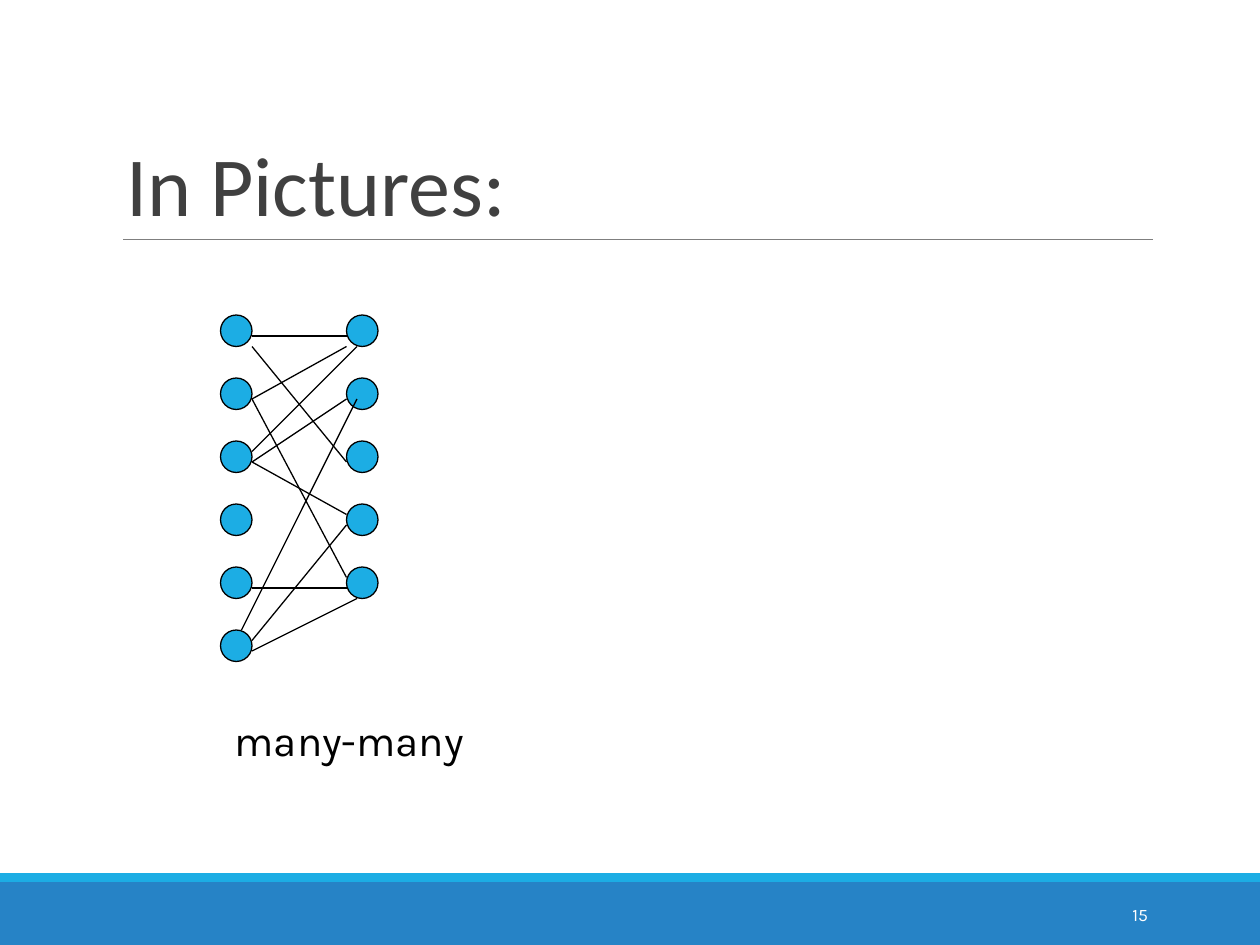
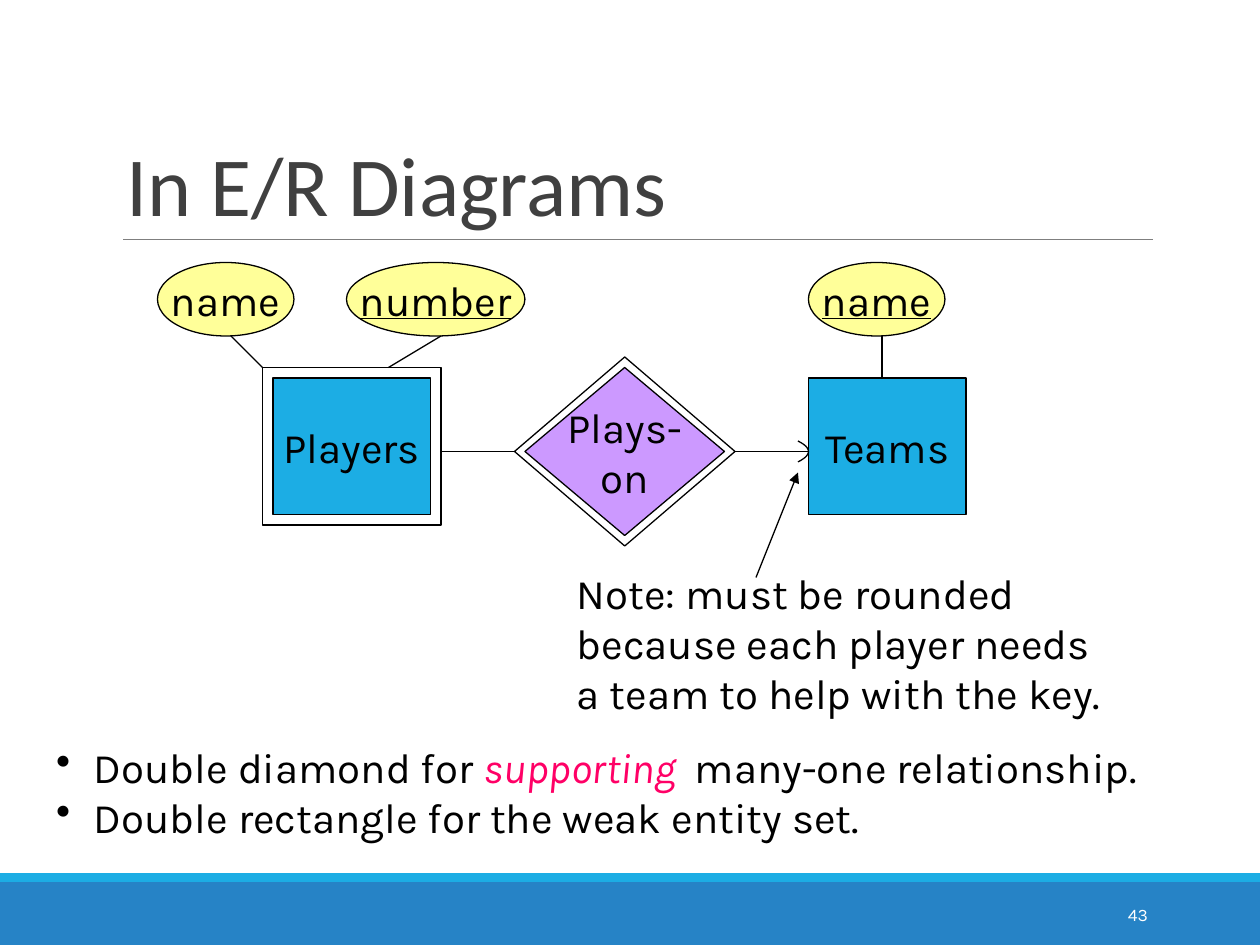
"""Build two lecture slides on entity relationships."""
from lxml import etree
from pptx import Presentation
from pptx.dml.color import RGBColor
from pptx.enum.shapes import MSO_CONNECTOR, MSO_SHAPE
from pptx.enum.text import MSO_ANCHOR, PP_ALIGN
from pptx.oxml.ns import qn
from pptx.util import Pt

RECT, OVAL, GEM = MSO_SHAPE.RECTANGLE, MSO_SHAPE.OVAL, MSO_SHAPE.DIAMOND
LEFT, MID, RIGHT = PP_ALIGN.LEFT, PP_ALIGN.CENTER, PP_ALIGN.RIGHT
TOP, CENTER, BASE = MSO_ANCHOR.TOP, MSO_ANCHOR.MIDDLE, MSO_ANCHOR.BOTTOM
STRAIGHT = MSO_CONNECTOR.STRAIGHT
BLUE, SKY, GREY, DARK = "2683C6", "1CADE4", "7F7F7F", "404040"
BLACK, WHITE, CREAM, LILAC, PINK = "000000", "FFFFFF", "FFFF99", "CC99FF", "FF0066"

tint = RGBColor.from_string


def form(page, kind, box, fill=None, edge=BLACK):
    shape = page.shapes.add_shape(kind, *map(Pt, box))
    shape.shadow.inherit = False
    if fill:
        shape.fill.solid()
        shape.fill.fore_color.rgb = tint(fill)
    else:
        shape.fill.background()
    if edge:
        shape.line.color.rgb = tint(edge)
        shape.line.width = Pt(0.75)
    else:
        shape.line.fill.background()
    return shape


def write(shape, rows, size=24, font="Karla", align=LEFT, anchor=TOP, wrap=True):
    frame = shape.text_frame
    frame.word_wrap = wrap
    frame.vertical_anchor = anchor
    for i, row in enumerate(rows):
        para = frame.add_paragraph() if i else frame.paragraphs[0]
        para.alignment = align
        for text, color, style in row:
            run = para.add_run()
            run.text = text
            run.font.name = font
            run.font.size = Pt(size)
            run.font.color.rgb = tint(color)
            run.font.italic = style == "i"
            run.font.underline = style == "u"
    return frame.paragraphs


deck = Presentation()
deck.slide_width, deck.slide_height = Pt(720), Pt(540)
pages = []
wires = []
for title, number in (("In Pictures:", "15"), ("In E/R Diagrams", "43")):
    page = deck.slides.add_slide(deck.slide_layouts[6])
    pages.append(page)
    form(page, RECT, (0, 504, 720, 36), BLUE, None)
    form(page, RECT, (0, 499, 720, 5), SKY, None)
    wires.append((page, (70.5, 137, 659, 137), GREY, 0.5))
    head = page.shapes.add_textbox(Pt(65), Pt(22), Pt(594), Pt(115))
    write(head, [[(title, DARK, "")]], 48, "Calibri", anchor=BASE)[0].line_spacing = 0.85
    foot = page.shapes.add_textbox(Pt(585), Pt(508), Pt(78), Pt(29))
    write(foot, [[(number, WHITE, "")]], 10, align=RIGHT, anchor=CENTER)
many, weak = pages

for x, count in ((126, 6), (198, 5)):
    for i in range(count):
        form(many, OVAL, (x, 180 + 36 * i, 18, 18), SKY)
for ends in (
    (144, 198, 198, 264), (144, 192, 198, 192), (144, 228, 198, 198),
    (144, 258, 204, 198), (144, 228, 198, 330), (144, 336, 198, 336),
    (144, 372, 204, 342), (144, 264, 198, 228), (138, 360, 204, 228),
    (144, 366, 198, 300), (198, 294, 144, 264),
):
    wires.append((many, ends, BLACK, 0.75))
label = many.shapes.add_textbox(Pt(127), Pt(405), Pt(148), Pt(36))
write(label, [[("many-many", BLACK, "")]])

for kind, box, fill, words, style in (
    (RECT, (156, 216, 90, 78), SKY, ["Players"], ""),
    (RECT, (462, 216, 90, 78), SKY, ["Teams"], ""),
    (RECT, (150, 210, 102, 90), None, [], ""),
    (GEM, (300, 210, 114, 96), LILAC, ["Plays-", "on"], ""),
    (GEM, (294, 204, 126, 108), None, [], ""),
    (OVAL, (90, 150, 78, 42), CREAM, ["name"], ""),
    (OVAL, (462, 150, 78, 42), CREAM, ["name"], "u"),
    (OVAL, (198, 150, 102, 42), CREAM, ["number"], "u"),
):
    shape = form(weak, kind, box, fill)
    rows = [[(word, BLACK, style)] for word in words]
    write(shape, rows, align=MID, anchor=CENTER, wrap=False)

dots = [(Pt(462 - 6 * (i / 6) ** 2), Pt(258 + i)) for i in range(-6, 7)]
pen = weak.shapes.build_freeform(*dots[0])
pen.add_line_segments(dots[1:], close=False)
curve = pen.convert_to_shape()
curve.shadow.inherit = False
curve.fill.background()
curve.line.color.rgb = tint(BLACK)
curve.line.width = Pt(0.75)

note = weak.shapes.add_textbox(Pt(322.5), Pt(320.5), Pt(326), Pt(94))
write(note, [[(text, BLACK, "")] for text in (
    "Note: must be rounded",
    "because each player needs",
    "a team to help with the key.",
)])
points = weak.shapes.add_textbox(Pt(25), Pt(420), Pt(654), Pt(65))
for para in write(points, [
    [("Double diamond for ", BLACK, ""), ("supporting ", PINK, "i"),
     (" many-one relationship.", BLACK, "")],
    [("Double rectangle for the weak entity set.", BLACK, "")],
]):
    prop = para._p.get_or_add_pPr()
    prop.set("marL", str(Pt(21.6)))
    prop.set("indent", str(-Pt(21.6)))
    etree.SubElement(prop, qn("a:buChar"), char="•")

for ends in (
    (252, 258, 294, 258), (132, 192, 150, 210), (252, 192, 222, 210),
    (504, 192, 504, 216), (420, 258, 462, 258), (432, 330, 456, 270),
):
    wires.append((weak, ends, BLACK, 0.75))
for page, ends, color, width in wires:
    wire = page.shapes.add_connector(STRAIGHT, *map(Pt, ends))
    wire.line.color.rgb = tint(color)
    wire.line.width = Pt(width)
    etree.SubElement(wire._element.spPr, qn("a:effectLst"))
etree.SubElement(wire.line._get_or_add_ln(), qn("a:tailEnd"), type="triangle")

deck.save("out.pptx")
